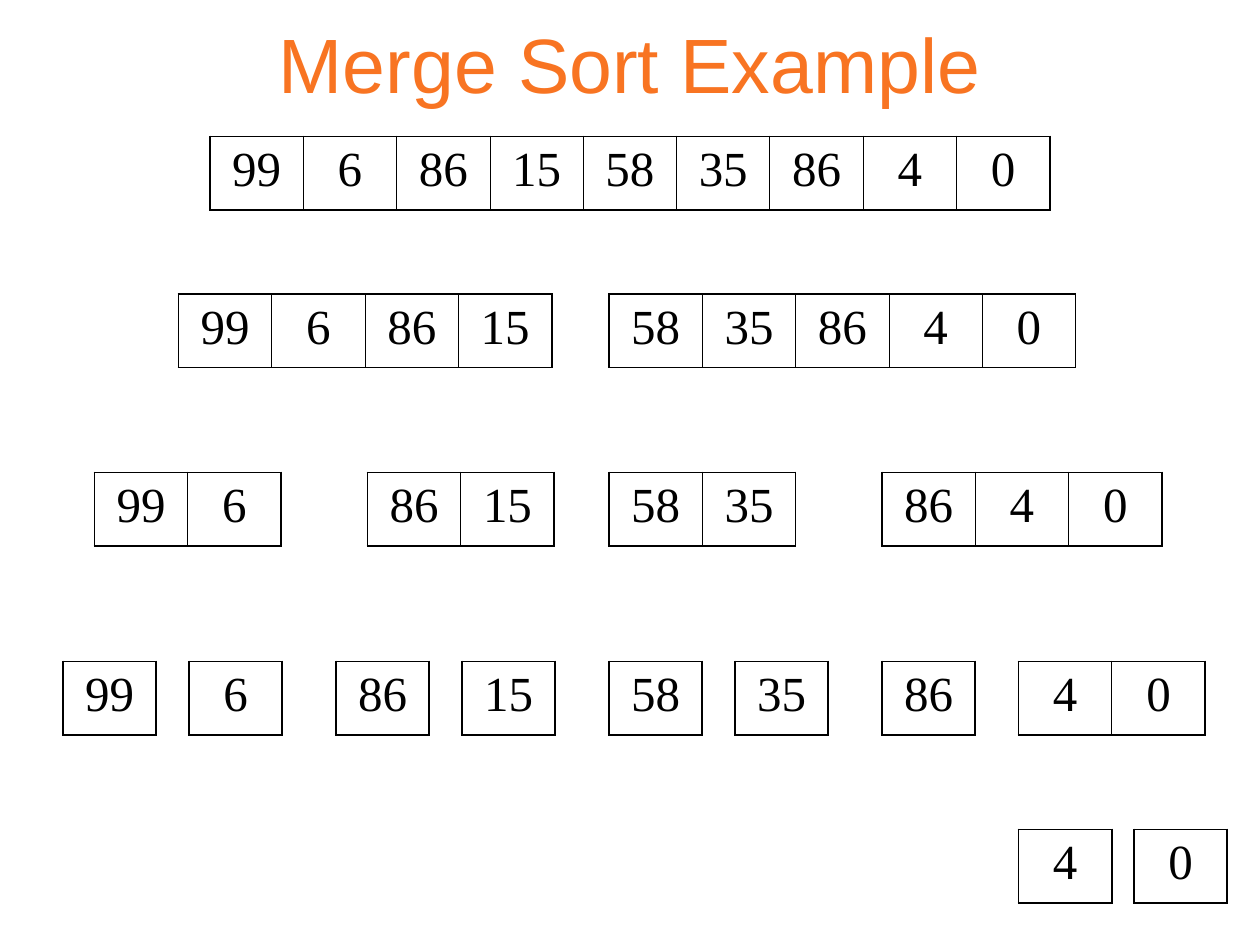
from dataclasses import dataclass
from typing import Any

from lxml.etree import SubElement
from pptx import Presentation
from pptx.dml.color import RGBColor
from pptx.enum.text import MSO_ANCHOR, PP_ALIGN
from pptx.oxml.ns import qn
from pptx.util import Inches, Pt


@dataclass(frozen=True)
class Theme:
    title_color: str = "F87422"
    ink: str = "000000"
    title_font: str = "Arial"
    number_font: str = "Times New Roman"
    title_size: int = 44
    number_size: int = 28
    outer_line: float = 1.08
    inner_line: float = 0.45


@dataclass(frozen=True)
class Grid:
    width: int
    height: int
    columns: int = 120
    rows: int = 90

    def across(self, columns: float) -> int:
        return round(self.width * columns / self.columns)

    def down(self, rows: float) -> int:
        return round(self.height * rows / self.rows)


@dataclass(frozen=True)
class Sublist:
    column: int
    start: int
    stop: int


@dataclass(frozen=True)
class Level:
    row: int
    sublists: tuple[Sublist, ...]


THEME = Theme()
NUMBERS = (99, 6, 86, 15, 58, 35, 86, 4, 0)
CELL_COLUMNS = 80 / len(NUMBERS)
CELL_ROWS = 7
LEVELS = (
    Level(13, (Sublist(20, 0, 9),)),
    Level(28, (Sublist(17, 0, 4), Sublist(58, 4, 9))),
    Level(45, (
        Sublist(9, 0, 2), Sublist(35, 2, 4), Sublist(58, 4, 6), Sublist(84, 6, 9),
    )),
    Level(63, (
        Sublist(6, 0, 1), Sublist(18, 1, 2), Sublist(32, 2, 3), Sublist(44, 3, 4),
        Sublist(58, 4, 5), Sublist(70, 5, 6), Sublist(84, 6, 7), Sublist(97, 7, 9),
    )),
    Level(79, (Sublist(97, 7, 8), Sublist(108, 8, 9))),
)


def apply(target: Any, values: dict[str, Any]) -> None:
    for name, value in values.items():
        setattr(target, name, value)


def write(para: Any, text: str, font: str, size: int, color: str) -> None:
    para.alignment = PP_ALIGN.CENTER
    span = para.add_run()
    span.text = text
    apply(span.font, {"name": font, "size": Pt(size)})
    span.font.color.rgb = RGBColor.from_string(color)


def draw_borders(cell: Any, first: bool, last: bool) -> None:
    properties = cell._tc.get_or_add_tcPr()
    widths = {
        "a:lnL": THEME.outer_line if first else THEME.inner_line,
        "a:lnR": THEME.outer_line if last else THEME.inner_line,
        "a:lnT": THEME.outer_line,
        "a:lnB": THEME.outer_line,
    }
    for tag, width in widths.items():
        line = SubElement(properties, qn(tag), w=str(Pt(width)))
        fill = SubElement(line, qn("a:solidFill"))
        SubElement(fill, qn("a:srgbClr"), val=THEME.ink)


def draw_sublist(page: Any, grid: Grid, row: int, sublist: Sublist) -> None:
    numbers = NUMBERS[sublist.start:sublist.stop]
    table = page.shapes.add_table(
        1, len(numbers), grid.across(sublist.column), grid.down(row),
        grid.across(CELL_COLUMNS * len(numbers)), grid.down(CELL_ROWS),
    ).table
    apply(table, {"first_row": False, "horz_banding": False})
    for index, number in enumerate(numbers):
        cell = table.cell(0, index)
        draw_borders(cell, index == 0, index == len(numbers) - 1)
        cell.fill.background()
        apply(cell, {
            "vertical_anchor": MSO_ANCHOR.TOP,
            "margin_left": Inches(0.1), "margin_right": Inches(0.1),
            "margin_top": Inches(0.05), "margin_bottom": Inches(0.05),
        })
        write(cell.text_frame.paragraphs[0], str(number),
              THEME.number_font, THEME.number_size, THEME.ink)


def draw_title(page: Any, grid: Grid, text: str) -> None:
    box = page.shapes.add_textbox(
        grid.across(9), grid.down(0), grid.across(102), grid.down(12))
    apply(box.text_frame, {
        "word_wrap": True, "vertical_anchor": MSO_ANCHOR.MIDDLE})
    write(box.text_frame.paragraphs[0], text,
          THEME.title_font, THEME.title_size, THEME.title_color)


def main() -> None:
    deck = Presentation()
    apply(deck, {"slide_width": Inches(10), "slide_height": Inches(7.5)})
    page = deck.slides.add_slide(deck.slide_layouts[6])
    grid = Grid(deck.slide_width, deck.slide_height)
    draw_title(page, grid, "Merge Sort Example")
    for level in LEVELS:
        for sublist in level.sublists:
            draw_sublist(page, grid, level.row, sublist)
    deck.save("out.pptx")


if __name__ == "__main__":
    main()
